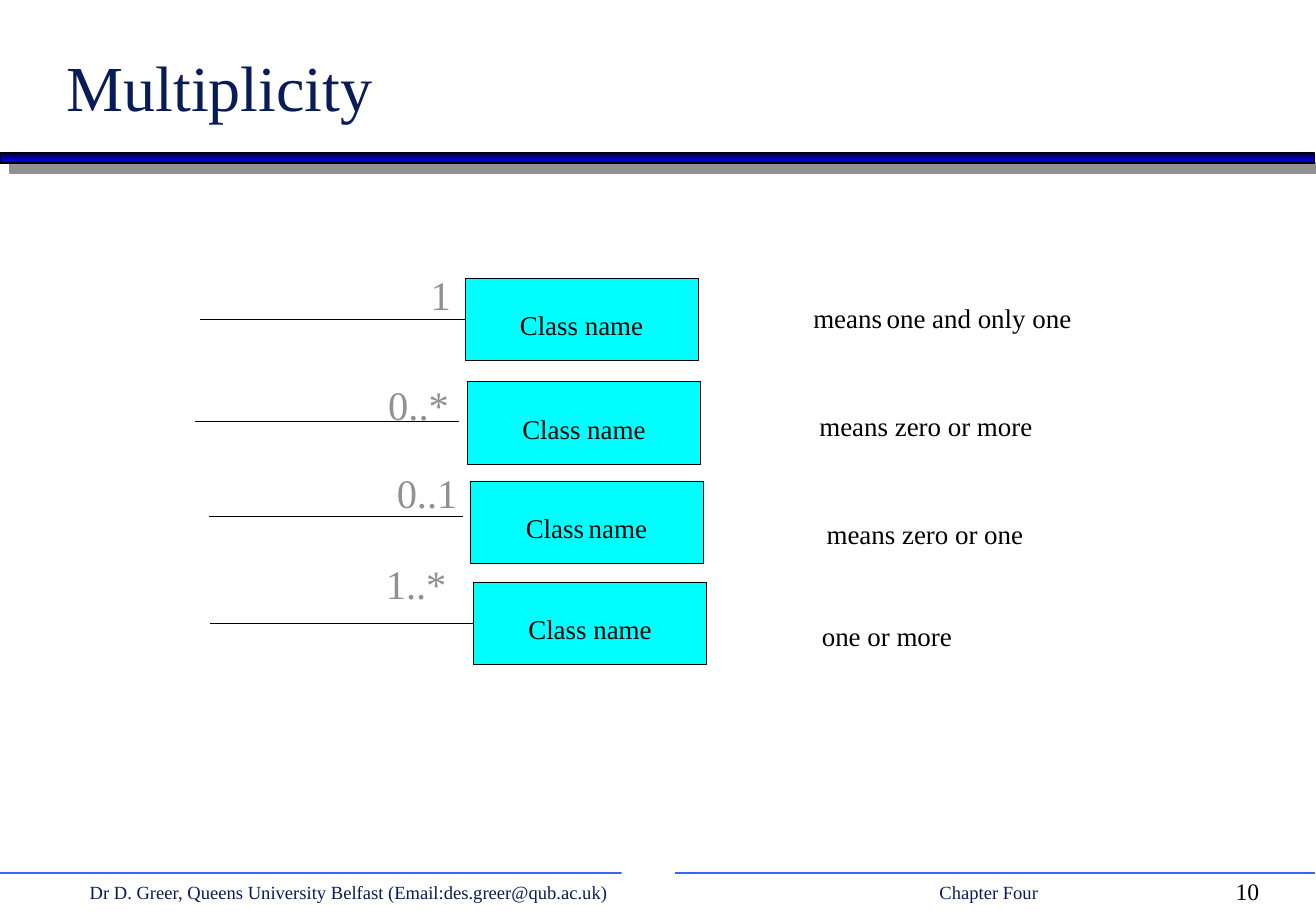
from dataclasses import dataclass
from lxml import etree
from pptx import Presentation
from pptx import util as u
from pptx.dml import color
from pptx.enum import shapes, text
from pptx.oxml import ns, parse_xml


@dataclass(frozen=True)
class Theme:
    font: str = "Times New Roman"
    navy: str = "081D58"
    black: str = "000000"
    white: str = "FFFFFF"
    gray: str = "919191"
    cyan: str = "00FFFF"
    rule_blue: str = "3366FF"
    bar_dark: str = "000036"
    bar_bright: str = "0000FF"
    title: int = 38
    range_label: int = 24
    body: int = 16
    number: int = 14
    footer: int = 11
    thin: float = 0.37


THEME = Theme()
ROOMY = (0.1, 0.05, 0.1, 0.05)
TIGHT = (0, 0, 0, 0)
SMALL_SPACE = (" ", THEME.footer)


def rgb(value):
    return color.RGBColor.from_string(value)


def apply(target, formats):
    for name, value in formats.items():
        setattr(target, name, value)


def write(shape, spans, size, ink, margins=ROOMY, **frame_formats):
    frame = shape.text_frame
    sides = ("margin_left", "margin_top", "margin_right", "margin_bottom")
    apply(frame, {side: u.Inches(gap) for side, gap in zip(sides, margins)})
    apply(frame, {"word_wrap": True, **frame_formats})
    para = frame.paragraphs[0]
    for words, points in [(spans, size)] if isinstance(spans, str) else spans:
        span = para.add_run()
        span.text = words
        apply(span.font, {"name": THEME.font, "size": u.Pt(points)})
        span.font.color.rgb = rgb(ink)
    return para


def add_text(parent, box, spans, size, ink, margins=ROOMY, **frame_formats):
    shape = parent.add_textbox(*map(u.Inches, box))
    return write(shape, spans, size, ink, margins, **frame_formats)


def add_box(parent, box, fill=None, line=None, width=1):
    shape = parent.add_shape(shapes.MSO_SHAPE.RECTANGLE, *map(u.Inches, box))
    shape.shadow.inherit = False
    if fill:
        shape.fill.solid()
        shape.fill.fore_color.rgb = rgb(fill)
    if line:
        shape.line.color.rgb = rgb(line)
        shape.line.width = u.Pt(width)
    else:
        shape.line.fill.background()
    return shape


def add_rule(parent, start, end, ink, width):
    rule = parent.add_connector(shapes.MSO_CONNECTOR.STRAIGHT, *map(u.Inches, start + end))
    rule.line.color.rgb = rgb(ink)
    rule.line.width = u.Pt(width)
    etree.SubElement(rule._element.spPr, ns.qn("a:effectLst"))
    return rule


def add_header(page, box):
    left, top, width, height = box
    bar = add_box(page.shapes, (left, top + height - 0.08, width, 0.08), line=THEME.black)
    bar.fill.gradient()
    bar.fill.gradient_angle = 270
    for stop, ink, place in zip(bar.fill.gradient_stops, (THEME.bar_dark, THEME.bar_bright), (0, 1)):
        stop.color.rgb = rgb(ink)
        stop.position = place
    effects = bar._element.spPr.find(ns.qn("a:effectLst"))
    effects.append(parse_xml(
        f'<a:outerShdw {ns.nsdecls("a")} dist="{u.Pt(8.5)}" dir="2700000" algn="ctr" '
        f'rotWithShape="0"><a:srgbClr val="{THEME.gray}"/></a:outerShdw>'))
    add_text(page.shapes, (left + 0.45, top + 0.29, 9.25, 0.78), "Multiplicity",
             THEME.title, THEME.navy, vertical_anchor=text.MSO_ANCHOR.BOTTOM)


def add_footer(page, box):
    left, top, width, height = box
    add_rule(page.shapes, (left, top), (left + width, top), THEME.rule_blue, 1)
    add_box(page.shapes, (left + 5.12, top - 0.29, 0.44, 0.3), fill=THEME.white)
    credit = add_text(page.shapes, (left + 0.64, top + 0.01, 9.27, height),
                      "Dr D. Greer, Queens University Belfast (Email:des.greer@qub.ac.uk)\tChapter Four",
                      THEME.footer, THEME.navy)
    stops = etree.SubElement(credit._p.get_or_add_pPr(), ns.qn("a:tabLst"))
    etree.SubElement(stops, ns.qn("a:tab"), pos=str(u.Inches(7)), algn="l")
    add_text(page.shapes, (left + 10.08, top - 0.02, 0.58, 0.34), "10", THEME.number, THEME.black)


def add_multiplicity(page, box, name, label, label_at, line, joined, meaning, meaning_at):
    left, top, width, height = box
    group = page.shapes.add_group_shape().shapes
    class_box = add_box(group, box, THEME.cyan, THEME.black, THEME.thin)
    para = write(class_box, name, THEME.body, THEME.black, (0, 0.09, 0, 0),
                 vertical_anchor=text.MSO_ANCHOR.MIDDLE)
    para.alignment = text.PP_ALIGN.CENTER
    start, end, drop = line
    rule = add_rule(group, (left + start, top + drop), (left + end, top + drop),
                    THEME.black, THEME.thin)
    if joined:
        rule.begin_y = u.Inches(top + height / 2)
        rule.end_connect(class_box, 1)
    add_text(group, (left + label_at[0], top + label_at[1], 0.7, 0.5), label,
             THEME.range_label, THEME.gray, word_wrap=False)
    add_text(group, (left + meaning_at[0], top + meaning_at[1], 2.2, 0.27), meaning,
             THEME.body, THEME.black, TIGHT, word_wrap=False)


def main():
    deck = Presentation()
    apply(deck, {"slide_width": u.Inches(10.84), "slide_height": u.Inches(7.5)})
    page = deck.slides.add_slide(deck.slide_layouts[6])
    add_header(page, (0, 0, 10.83, 1.34))
    add_footer(page, (0, 7.19, 10.83, 0.3))
    size = THEME.body
    spaced_name = [("Class", size), SMALL_SPACE, ("name", size)]
    only_one = [("means", size), SMALL_SPACE, ("one and only one", size)]
    rows = (
        (3.83, 2.29, "Class name", "1", (-0.38, -0.12), (-2.18, 0, 0.32), True,
         only_one, (2.87, 0.19)),
        (3.85, 3.14, "Class name", "0..*", (-0.75, -0.06), (-2.24, -0.07, 0.33), False,
         "means zero or more", (2.9, 0.23)),
        (3.87, 3.96, spaced_name, "0..1", (-0.7, -0.16), (-2.15, -0.06, 0.29), False,
         "means zero or one", (2.94, 0.3)),
        (3.9, 4.79, "Class name", "1..*", (-0.82, -0.24), (-2.17, 0, 0.32), True,
         "one or more", (2.87, 0.31)),
    )
    for left, top, *parts in rows:
        add_multiplicity(page, (left, top, 1.92, 0.68), *parts)
    deck.save("out.pptx")


if __name__ == "__main__":
    main()
